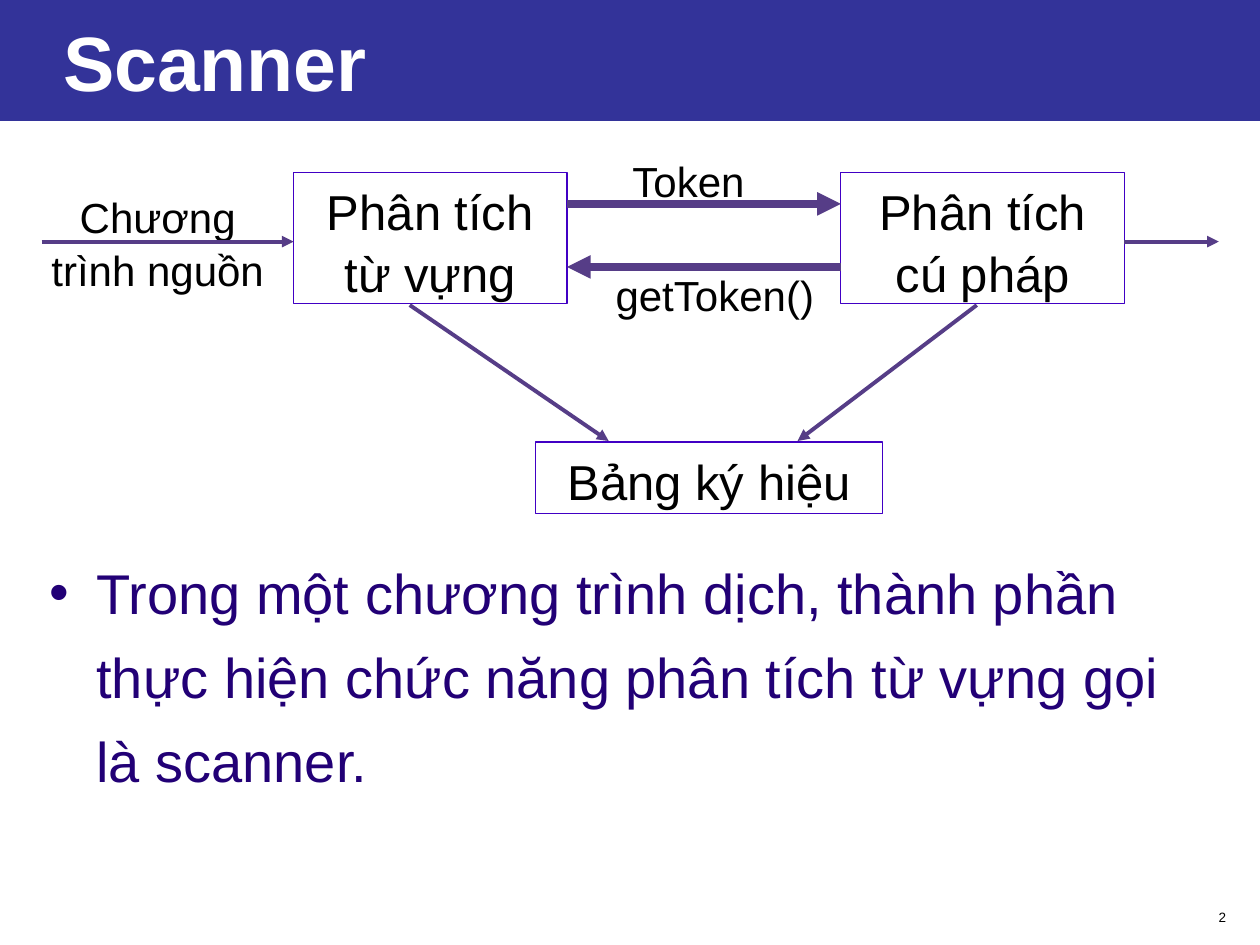
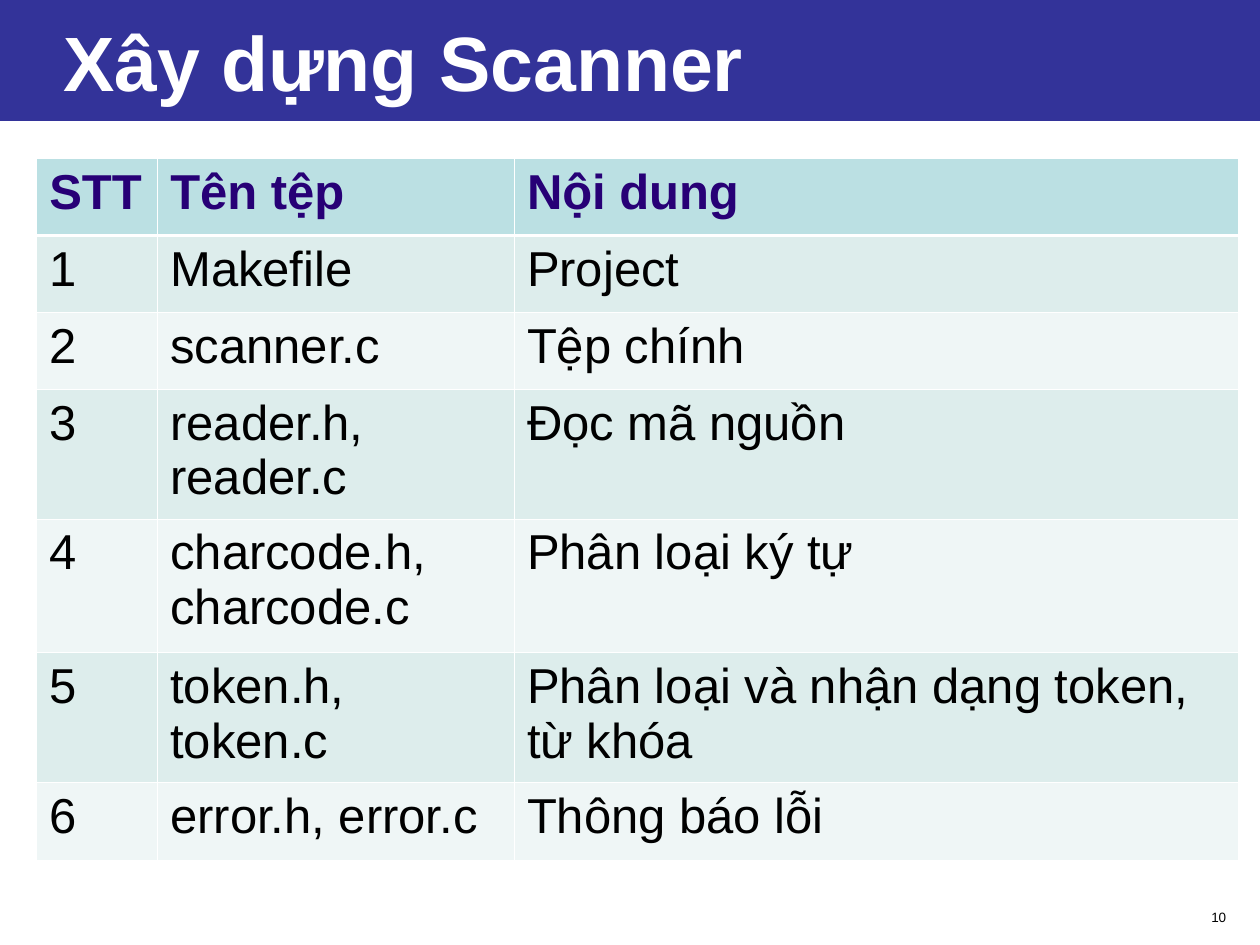
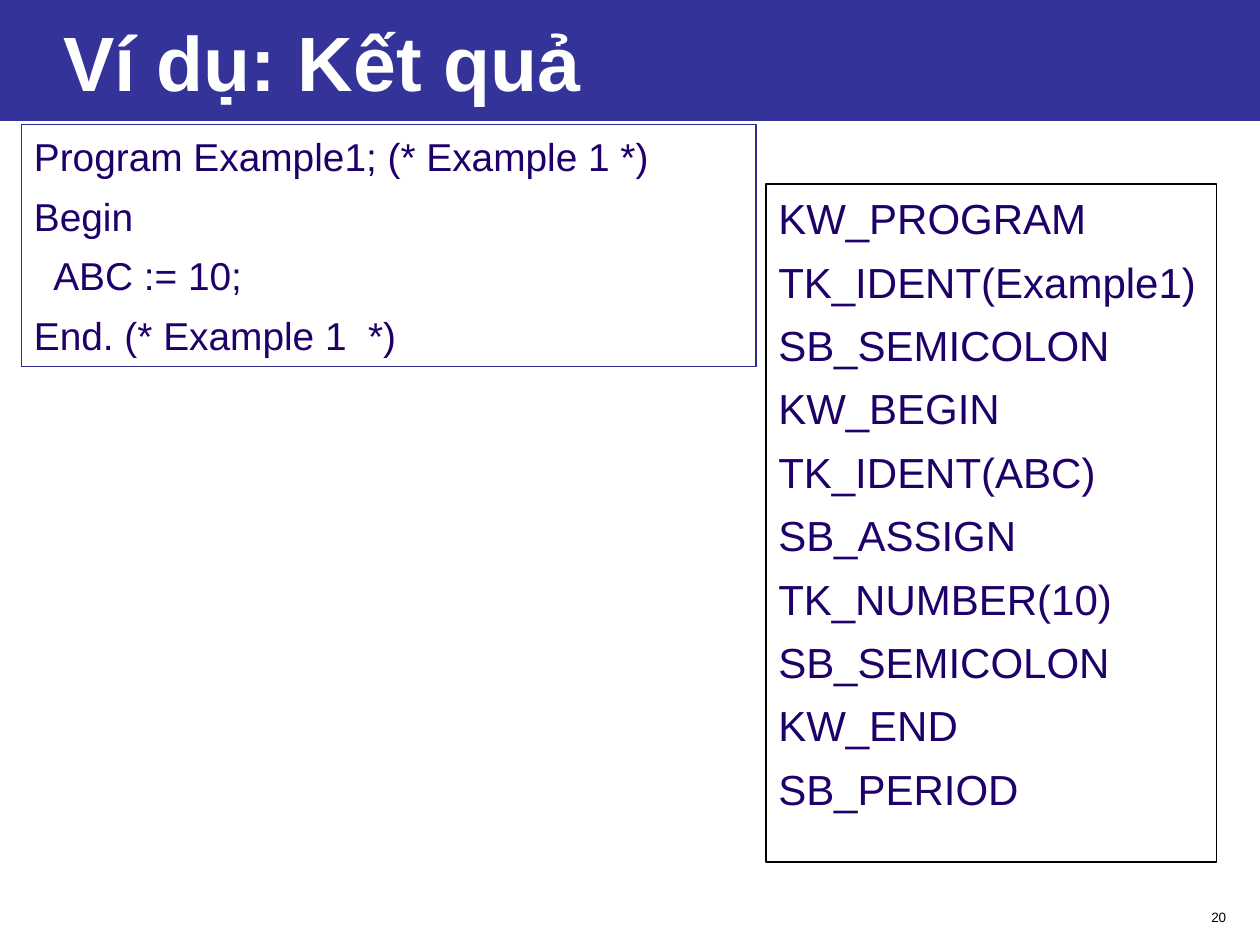
from lxml import etree
from pptx import Presentation
from pptx.dml.color import RGBColor
from pptx.enum.shapes import MSO_CONNECTOR, MSO_SHAPE
from pptx.enum.text import MSO_ANCHOR, MSO_AUTO_SIZE, PP_ALIGN
from pptx.oxml.ns import qn
from pptx.util import Cm, Pt

RECT = MSO_SHAPE.RECTANGLE
STRAIGHT = MSO_CONNECTOR.STRAIGHT
LEFT, MID, RIGHT = PP_ALIGN.LEFT, PP_ALIGN.CENTER, PP_ALIGN.RIGHT
TOP, CENTER = MSO_ANCHOR.TOP, MSO_ANCHOR.MIDDLE
NO_FIT = MSO_AUTO_SIZE.NONE

FONT = "Arial"
WHITE = RGBColor(0xFF, 0xFF, 0xFF)
BLACK = RGBColor(0, 0, 0)
BAND = RGBColor(0x33, 0x33, 0x99)
BODY = RGBColor(0x22, 0x00, 0x76)
CODE = RGBColor(0x1E, 0x00, 0x68)
FRAME = RGBColor(0x2D, 0x2D, 0x8A)
EDGE = RGBColor(0x41, 0x00, 0xC4)
ARROW = RGBColor(0x56, 0x3D, 0x87)
HEAD_TEXT = RGBColor(0x27, 0x00, 0x76)
HEAD = RGBColor(0xBB, 0xE0, 0xE3)
ODD = RGBColor(0xDD, 0xED, 0xEC)
EVEN = RGBColor(0xEF, 0xF6, 0xF6)

FLOW = (0.64, 2.97)
NODES = [
    ("Phân tích từ vựng", (5.28, 0.51, 5.51, 2.64)),
    ("Phân tích cú pháp", (16.31, 0.51, 5.72, 2.64)),
    ("Bảng ký hiệu", (10.16, 5.94, 6.99, 1.45)),
]
LABELS = [
    ("Chương trình nguồn", (0, 0.71, 5.08, 2.29), MID),
    ("Token", (11.86, 0, 3.81, 1.27), LEFT),
    ("getToken()", (11.13, 2.29, 5.28, 1.27), MID),
]
ARROWS = [
    ((10.79, 1.14), (16.31, 1.14), 4.5),
    ((16.31, 2.41), (10.79, 2.41), 4.5),
    ((0.2, 1.9), (5.28, 1.9), 2.25),
    ((7.62, 3.18), (11.63, 5.92), 2.25),
    ((19.05, 3.18), (15.44, 5.92), 2.25),
    ((22.02, 1.9), (23.93, 1.9), 2.25),
]
FILES = [
    ("STT", "Tên tệp", "Nội dung"),
    ("1", "Makefile", "Project"),
    ("2", "scanner.c", "Tệp chính"),
    ("3", "reader.h, reader.c", "Đọc mã nguồn"),
    ("4", "charcode.h, charcode.c", "Phân loại ký tự"),
    ("5", "token.h, token.c", "Phân loại và nhận dạng token, từ khóa"),
    ("6", "error.h, error.c", "Thông báo lỗi"),
]
WIDTHS = [2.44, 7.19, 14.6]
HEIGHTS = [1.55, 1.55, 1.55, 2.62, 2.69, 2.62, 1.57]
SOURCE = [
    "Program Example1; (* Example 1 *)",
    "Begin",
    "  ABC := 10;",
    "End. (* Example 1  *)",
]
TOKENS = [
    "KW_PROGRAM", "TK_IDENT(Example1)", "SB_SEMICOLON", "KW_BEGIN",
    "TK_IDENT(ABC)", "SB_ASSIGN", "TK_NUMBER(10)", "SB_SEMICOLON",
    "KW_END", "SB_PERIOD",
]


def scale(box):
    return [Cm(part) for part in box]


def shift(box, base):
    return (base[0] + box[0], base[1] + box[1], *box[2:])


def move(shape, box):
    shape.left, shape.top, shape.width, shape.height = scale(box)


def write(frame, lines, size, color, align=LEFT, bold=False, gap=0, pitch=None):
    for i, line in enumerate(lines):
        para = frame.paragraphs[0] if i == 0 else frame.add_paragraph()
        para.alignment = align
        para.space_before = Pt(gap if i else 0)
        para.line_spacing = pitch
        run = para.add_run()
        run.text = line
        font = run.font
        font.name, font.size, font.bold = FONT, Pt(size), bold
        font.color.rgb = color


def set_frame(shape, anchor=TOP):
    frame = shape.text_frame
    frame.word_wrap = True
    frame.auto_size = NO_FIT
    frame.vertical_anchor = anchor
    return frame


def set_line(shape, color, width=0.75):
    shape.line.color.rgb = color
    shape.line.width = Pt(width)


def add_text(slide, box, lines, size, color, **style):
    shape = slide.shapes.add_textbox(*scale(box))
    write(set_frame(shape), lines, size, color, **style)


def add_box(slide, box, lines, size, color, edge, **style):
    shape = slide.shapes.add_shape(RECT, *scale(box))
    shape.shadow.inherit = False
    shape.fill.background()
    set_line(shape, edge)
    write(set_frame(shape), lines, size, color, **style)


def add_arrow(slide, start, end, width):
    line = slide.shapes.add_connector(STRAIGHT, *scale(start + end))
    set_line(line, ARROW, width)
    props = line.line._get_or_add_ln()
    etree.SubElement(props, qn("a:tailEnd"), type="triangle")
    etree.SubElement(props.getparent(), qn("a:effectLst"))


def set_bullet(para, mark=None, color=None, indent=0):
    props = para._p.get_or_add_pPr()
    props.set("marL", str(Cm(indent)))
    props.set("indent", str(-Cm(indent)))
    if mark:
        tint = etree.SubElement(props, qn("a:buClr"))
        etree.SubElement(tint, qn("a:srgbClr"), val=str(color))
        etree.SubElement(props, qn("a:buFont"), typeface=FONT)
        etree.SubElement(props, qn("a:buChar"), char=mark)
    else:
        etree.SubElement(props, qn("a:buNone"))


def start_slide(deck, layout, title, number):
    slide = deck.slides.add_slide(deck.slide_layouts[layout])
    band = slide.shapes.title
    move(band, (0, 0, 25.4, 2.44))
    band.fill.solid()
    band.fill.fore_color.rgb = BAND
    frame = set_frame(band, CENTER)
    frame.margin_left = Cm(1.27)
    write(frame, [title], 44, WHITE, bold=True)
    add_text(slide, (19.69, 18.21, 5.28, 0.61), [number], 7.7, BLACK, align=RIGHT)
    return slide


def draw_flow(slide, base):
    for text, box in NODES:
        add_box(slide, shift(box, base), [text], 28, BLACK, EDGE, align=MID, pitch=1.05)
    for text, box, align in LABELS:
        add_text(slide, shift(box, base), [text], 24, BLACK, align=align, pitch=1.05)
    for start, end, width in ARROWS:
        add_arrow(slide, shift(start, base), shift(end, base), width)


def fill_list(slide, box, text):
    body = slide.placeholders[1]
    move(body, box)
    frame = set_frame(body)
    set_bullet(frame.paragraphs[0], "•", BODY, 0.95)
    write(frame, [text], 32, BODY, pitch=1.25)


def set_edges(cell, top, bottom):
    props = cell._tc.get_or_add_tcPr()
    for side, width in (("L", 0.45), ("R", 0.45), ("T", top), ("B", bottom)):
        edge = etree.SubElement(props, qn("a:ln" + side), w=str(Pt(width)))
        fill = etree.SubElement(edge, qn("a:solidFill"))
        etree.SubElement(fill, qn("a:srgbClr"), val=str(WHITE))


def draw_table(slide, base):
    box = (*base, sum(WIDTHS), sum(HEIGHTS))
    table = slide.shapes.add_table(len(FILES), len(WIDTHS), *scale(box)).table
    for col, width in zip(table.columns, WIDTHS):
        col.width = Cm(width)
    for i, (row, height) in enumerate(zip(table.rows, HEIGHTS)):
        row.height = Cm(height)
        first = i == 0
        shade = HEAD if first else ODD if i % 2 else EVEN
        for cell, text in zip(row.cells, FILES[i]):
            set_edges(cell, 1.47 if i == 1 else 0.45, 1.47 if first else 0.45)
            cell.fill.solid()
            cell.fill.fore_color.rgb = shade
            write(cell.text_frame, [text], 28, HEAD_TEXT if first else BLACK, bold=first)


def fill_code(slide, box):
    body = slide.placeholders[1]
    move(body, box)
    body.fill.background()
    set_line(body, FRAME)
    frame = set_frame(body)
    write(frame, SOURCE, 22.2, CODE, gap=6, pitch=1.05)
    for para in frame.paragraphs:
        set_bullet(para)


def main():
    deck = Presentation()
    deck.slide_width, deck.slide_height = Cm(25.4), Cm(19.05)

    slide = start_slide(deck, 1, "Scanner", "2")
    fill_list(slide, (0.74, 10.8, 23.6, 7.62),
              "Trong một chương trình dịch, thành phần thực hiện chức năng "
              "phân tích từ vựng gọi là scanner.")
    draw_flow(slide, FLOW)

    slide = start_slide(deck, 5, "Xây dựng Scanner", "10")
    draw_table(slide, (0.74, 3.2))

    slide = start_slide(deck, 1, "Ví dụ: Kết quả", "20")
    fill_code(slide, (0.43, 2.51, 14.81, 4.88))
    add_box(slide, (15.44, 3.71, 9.09, 13.67), TOKENS, 24, CODE, BLACK,
            gap=6, pitch=1.05)

    deck.save("out.pptx")


if __name__ == "__main__":
    main()
